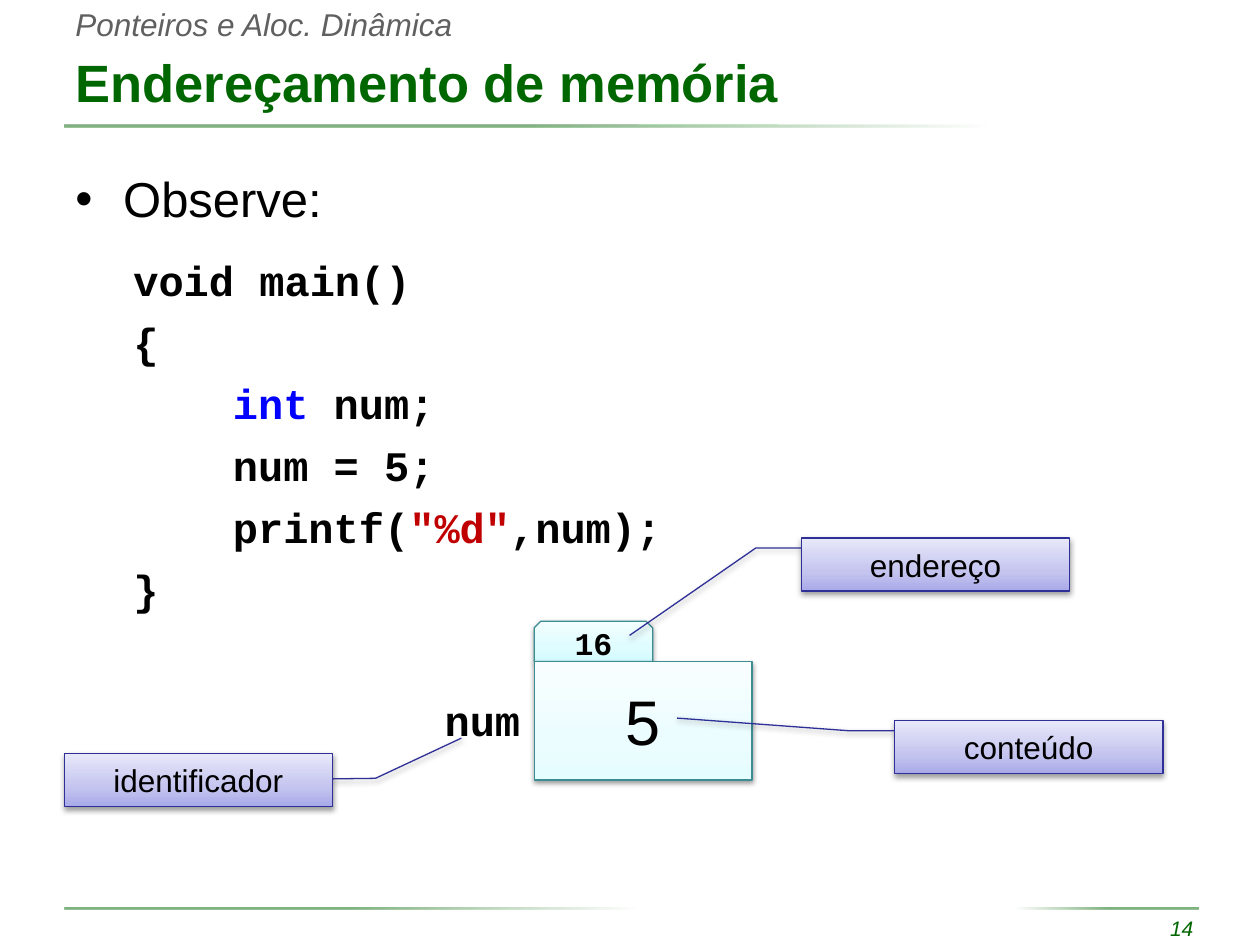
from pptx import Presentation
from pptx.dml.color import RGBColor
from pptx.enum.shapes import MSO_SHAPE
from pptx.enum.text import MSO_ANCHOR, MSO_AUTO_SIZE, PP_ALIGN
from pptx.oxml import parse_xml
from pptx.oxml.ns import nsdecls
from pptx.util import Inches, Pt

GREEN, BLACK = "006600", "000000"
MONO = {"name": "Courier New", "bold": True}
FADE = [(0, GREEN), (50, GREEN), (100, "FFFFFF")]
LILAC = [(0, "A9A9E9"), (35, "C4C4EF"), (100, "E8E8FA")]
TAB = [(0, "D3FBFF"), (35, "DFFCFF"), (100, "F2FEFF")]
CYAN = [(0, "E6FDFF"), (35, "ECFDFF"), (100, "F8FEFF")]
CODE = [
    [("void main()", BLACK)],
    [("{", BLACK)],
    [("\t", BLACK), ("int ", "0000FF"), ("num;", BLACK)],
    [("\tnum = 5;", BLACK)],
    [("\tprintf(", BLACK), ('"%d"', "C00000"), (",num);", BLACK)],
    [("}", BLACK)],
]


def color(text):
    return RGBColor.from_string(text)


def style(item, size, hue, **form):
    font = item.font
    for key, value in ({"name": "Arial", "size": Pt(size)} | form).items():
        setattr(font, key, value)
    font.color.rgb = color(hue)


def place(shape, box):
    for key, value in zip(("left", "top", "width", "height"), box):
        setattr(shape, key, Inches(value))


def write(para, text, size, hue, **form):
    run = para.add_run()
    run.text = text
    style(run, size, hue, **form)


def add_text(slide, box, wrap=True):
    frame = slide.shapes.add_textbox(*map(Inches, box)).text_frame
    frame.word_wrap = wrap
    if not wrap:
        frame.auto_size = MSO_AUTO_SIZE.SHAPE_TO_FIT_TEXT
    return frame


def add_shape(slide, kind, box, stops, angle, alpha=100):
    shape = slide.shapes.add_shape(kind, *map(Inches, box))
    marks = "".join(
        f'<a:gs pos="{spot * 1000}"><a:srgbClr val="{hue}">'
        f'<a:alpha val="{alpha * 1000}"/></a:srgbClr></a:gs>'
        for spot, hue in stops)
    shape._element.spPr.insert(2, parse_xml(
        f'<a:gradFill {nsdecls("a")} rotWithShape="1"><a:gsLst>{marks}</a:gsLst>'
        f'<a:lin ang="{angle * 60000}" scaled="0"/></a:gradFill>'))
    return shape


def add_rule(slide, box, angle=0):
    rule = add_shape(slide, MSO_SHAPE.RECTANGLE, box, FADE, angle, 50)
    rule.line.fill.background()
    rule.shadow.inherit = False


def add_box(slide, kind, box, stops, edge, text, size, adjust=(), **form):
    shape = add_shape(slide, kind, box, stops, 270)
    for index, value in enumerate(adjust):
        shape.adjustments[index] = value
    shape.line.color.rgb = color(edge)
    shape.line.width = Pt(0.75)
    shape._element.spPr.append(parse_xml(
        f'<a:effectLst {nsdecls("a")}><a:outerShdw blurRad="{Pt(3.1)}" '
        f'dist="{Pt(1.6)}" dir="5400000" rotWithShape="0"><a:srgbClr val="000000">'
        '<a:alpha val="38000"/></a:srgbClr></a:outerShdw></a:effectLst>'))
    frame = shape.text_frame
    frame.vertical_anchor = MSO_ANCHOR.MIDDLE
    para = frame.paragraphs[0]
    para.alignment = PP_ALIGN.CENTER
    write(para, text, size, BLACK, **form)


def add_call(slide, left, top, text, adjust):
    add_box(slide, MSO_SHAPE.LINE_CALLOUT_2, (left, top, 2.13, 0.42),
            LILAC, "2F2F98", text, 18, adjust)


def add_title(slide):
    title = slide.shapes.title
    place(title, (0.5, 0.3, 9, 0.69))
    frame = title.text_frame
    frame.vertical_anchor = MSO_ANCHOR.MIDDLE
    para = frame.paragraphs[0]
    para.alignment = PP_ALIGN.LEFT
    write(para, "Endereçamento de memória", 30, GREEN, bold=True)


def add_bullet(slide):
    para = add_text(slide, (0.5, 1.29, 9, 0.65)).paragraphs[0]
    props = para._p.get_or_add_pPr()
    props.set("marL", str(Inches(0.38)))
    props.set("indent", str(Inches(-0.38)))
    props.append(parse_xml(f'<a:buFont {nsdecls("a")} typeface="Arial"/>'))
    props.append(parse_xml(f'<a:buChar {nsdecls("a")} char="•"/>'))
    write(para, "Observe:", 28, BLACK)


def add_code(slide):
    frame = add_text(slide, (0.96, 1.97, 8.44, 2.96))
    for index, parts in enumerate(CODE):
        para = frame.add_paragraph() if index else frame.paragraphs[0]
        if index:
            para.space_before = Pt(6.5)
        para._p.get_or_add_pPr().append(parse_xml(
            f'<a:tabLst {nsdecls("a")}><a:tab pos="{Inches(0.79)}" algn="l"/></a:tabLst>'))
        for text, hue in parts:
            write(para, text, 24, hue, **MONO)


def main():
    deck = Presentation()
    deck.slide_width, deck.slide_height = Inches(10), Inches(7.5)
    slide = deck.slides.add_slide(deck.slide_layouts[5])
    page = add_text(slide, (7.76, 7.22, 1.81, 0.3)).paragraphs[0]
    page.alignment = PP_ALIGN.RIGHT
    write(page, "14", 12, GREEN, italic=True)
    add_rule(slide, (0.51, 0.99, 7.32, 0.02))
    add_rule(slide, (0.51, 7.2, 4.54, 0.02))
    add_rule(slide, (8.06, 7.2, 1.45, 0.02), 180)
    topic = add_text(slide, (0.5, -0.01, 3.22, 0.4), False).paragraphs[0]
    write(topic, "Ponteiros e Aloc. Dinâmica", 18, "606060", italic=True)
    add_title(slide)
    add_bullet(slide)
    add_code(slide)
    add_box(slide, MSO_SHAPE.SNIP_2_SAME_RECTANGLE, (4.24, 4.93, 0.94, 0.32),
            TAB, "3C8C93", "16", 18, **MONO)
    add_box(slide, MSO_SHAPE.RECTANGLE, (4.24, 5.25, 1.73, 0.94),
            CYAN, "3C8C93", "5", 36)
    add_call(slide, 6.36, 4.27, "endereço", (0.19, 0, 0.19, -0.17, 1.84, -0.64))
    add_call(slide, 7.1, 5.72, "conteúdo", (0.19, 0, 0.19, -0.17, -0.05, -0.81))
    name = add_text(slide, (3.43, 5.46, 0.81, 0.51), False).paragraphs[0]
    write(name, "num", 24, BLACK, **MONO)
    add_call(slide, 0.51, 5.98, "identificador", (0.48, 1, 0.47, 1.16, -0.29, 1.48))
    deck.save("out.pptx")


if __name__ == "__main__":
    main()
